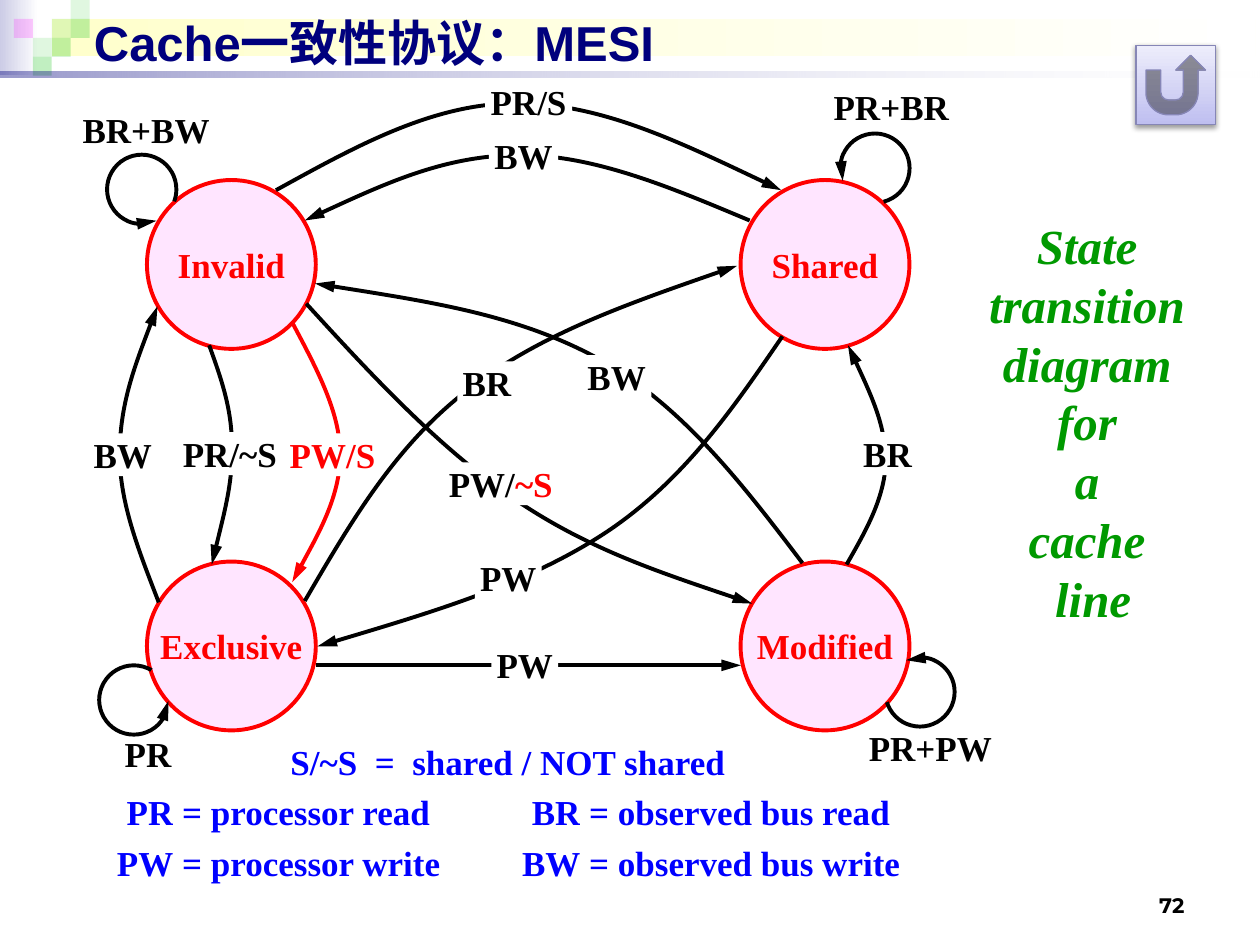
from itertools import product

from lxml.etree import SubElement
from pptx import Presentation
from pptx.dml.color import RGBColor
from pptx.enum.shapes import MSO_CONNECTOR, MSO_SHAPE
from pptx.enum.text import MSO_ANCHOR, MSO_AUTO_SIZE, PP_ALIGN
from pptx.oxml.ns import qn
from pptx.util import Pt

NAVY = RGBColor(0x00, 0x00, 0x7D)
BLUE = RGBColor(0x00, 0x00, 0xFF)
RED = RGBColor(0xFF, 0x00, 0x00)
BLACK = RGBColor(0x00, 0x00, 0x00)
WHITE = RGBColor(0xFF, 0xFF, 0xFF)
PINK = RGBColor(0xFF, 0xE5, 0xFF)
GREEN = RGBColor(0x00, 0x99, 0x00)
LIME = RGBColor(0x33, 0xCC, 0x33)
MAGENTA = RGBColor(0xFF, 0x00, 0xFF)
LAVENDER = RGBColor(0xCC, 0xCC, 0xE6)
CREAM = RGBColor(0xFF, 0xFF, 0xCC)
BUTTON_DARK = RGBColor(0xBF, 0xBF, 0xF0)
BUTTON_LIGHT = RGBColor(0xED, 0xED, 0xFB)
BUTTON_EDGE = RGBColor(0x86, 0x86, 0xB6)


def write(tf, text, size=20, font="Times New Roman", color=BLACK, italic=False,
          align=PP_ALIGN.CENTER, anchor=MSO_ANCHOR.TOP, wrap=True):
    """Fill a text frame, one paragraph per line; text after a | is red. Return the last paragraph."""
    tf.word_wrap = wrap
    tf.vertical_anchor = anchor
    for i, line in enumerate(text.split("\n")):
        p = tf.add_paragraph() if i else tf.paragraphs[0]
        p.alignment = align
        for part, part_color in zip(line.split("|"), (color, RED)):
            r = p.add_run()
            r.text = part
            r.font.size, r.font.name, r.font.bold, r.font.italic = Pt(size), font, True, italic
            r.font.color.rgb = part_color
    return p


def block(kind, x, y, w, h, *colors, alphas=(), angle=0):
    """Add a borderless shape: one color fills it solid, two make a gradient."""
    sp = s.shapes.add_shape(kind, Pt(x), Pt(y), Pt(w), Pt(h))
    sp.shadow.inherit = False
    sp.line.fill.background()
    if len(colors) == 1:
        sp.fill.solid()
        sp.fill.fore_color.rgb = colors[0]
    else:
        sp.fill.gradient()
        sp.fill.gradient_angle = angle
        for stop, color, position in zip(sp.fill.gradient_stops, colors, (0, 1)):
            stop.color.rgb = color
            stop.position = position
    for clr, alpha in zip(sp._element.spPr.iter(qn("a:srgbClr")), alphas):
        SubElement(clr, qn("a:alpha")).set("val", str(alpha * 1000))
    return sp


prs = Presentation()
prs.slide_width, prs.slide_height = Pt(720), Pt(540)
s = prs.slides.add_slide(prs.slide_layouts[1])

# Banner
block(MSO_SHAPE.RECTANGLE, 0, 0, 22, 43, LAVENDER, WHITE)
block(MSO_SHAPE.RECTANGLE, 29.5, 10.8, 688, 21.4, CREAM, WHITE)
TILE = 10.8
for col, row, color, alpha in [(2, 1, LIME, 15), (3, 0, LIME, 15), (3, 1, LIME, 30),
                               (1, 2, LIME, 15), (0, 1, MAGENTA, 20),
                               (2, 2, LIME, 30), (1, 3, LIME, 30)]:
    block(MSO_SHAPE.RECTANGLE, 8 + col * TILE, row * TILE, TILE, TILE, color, alphas=[alpha])
block(MSO_SHAPE.RECTANGLE, 0, 41, 720, 3.6, NAVY, WHITE, alphas=[40, 10])

# Title and legend heading, brought in front of the banner
title, body = s.shapes.title, s.placeholders[1]
for sp, x, y, w, h in [(title, 46.5, 3.6, 648, 41), (body, 150.2, 419.8, 280, 31.7)]:
    sp.left, sp.top, sp.width, sp.height = Pt(x), Pt(y), Pt(w), Pt(h)
    sp.text_frame.auto_size = MSO_AUTO_SIZE.NONE
    s.shapes._spTree.append(sp._element)
write(title.text_frame, "Cache一致性协议：MESI", size=28, font="Arial", color=NAVY,
      align=PP_ALIGN.LEFT, anchor=MSO_ANCHOR.MIDDLE)
p = write(body.text_frame, "S/~S  =  shared / NOT shared", color=BLUE)
p.space_before = Pt(0)
pPr = p._p.get_or_add_pPr()
pPr.set("marL", "0")
pPr.set("indent", "0")
SubElement(pPr, qn("a:buNone"))

# Slide number
tb = s.shapes.add_textbox(Pt(516), Pt(492), Pt(168), Pt(36))
write(tb.text_frame, "72", size=12, font="Montserrat", align=PP_ALIGN.RIGHT,
      anchor=MSO_ANCHOR.BOTTOM)

# States
for name, (y, x) in zip(["Invalid", "Shared", "Exclusive", "Modified"],
                        product((102.9, 320.9), (84, 423.2))):
    sp = block(MSO_SHAPE.OVAL, x, y, 96.5, 96.5, PINK)
    sp.line.color.rgb, sp.line.width = RED, Pt(2.25)
    write(sp.text_frame, name, color=RED, anchor=MSO_ANCHOR.MIDDLE, wrap=False)

# Transitions: (shape, color, arrow end)
arrows = []
for x, y, start, end in [(480.2, 76.3, 158.5, 75.45), (61.2, 88.4, 65, 20.35),
                         (56.7, 380.2, 1.48, 300.14), (505.9, 375.6, 246.42, 162.8)]:
    loop = block(MSO_SHAPE.ARC, x, y, 39.6, 39.6, WHITE)
    loop.fill.background()
    loop.adjustments[0], loop.adjustments[1] = start * 0.6, end * 0.6
    arrows.append((loop, BLACK, "a:headEnd"))

# Each curve: start point, then two Bezier segments of three points
CURVES = [
    (BLACK, [(157.7, 108.7), (202.3, 84.2), (247, 59), (295.2, 59),
             (343.4, 59), (394.6, 84.2), (446.4, 108.7)]),
    (BLACK, [(428.4, 126), (383.8, 107.3), (339.8, 88.6), (297.4, 88.6),
             (254.9, 88.6), (214.6, 107.3), (174.2, 126)]),
    (BLACK, [(90.7, 344.2), (79.9, 316.1), (68.4, 288), (68.4, 259.9),
             (68.4, 231.1), (79.2, 203), (90, 175)]),
    (BLACK, [(119.5, 197.3), (126, 215.3), (132.5, 233.3), (132.5, 254.2),
             (133.2, 275), (126.7, 298.8), (121, 322.6)]),
    (RED, [(167, 184.3), (180.7, 210.2), (194.4, 235.4), (194.4, 259.9),
           (194.4, 285.1), (167, 332.6), (167, 332.6)]),
    (BLACK, [(483.8, 322.6), (494.6, 303.8), (505.4, 285.1), (506.2, 264.2),
             (506.2, 243.4), (495.4, 220.3), (484.6, 197.3)]),
    (BLACK, [(447.1, 192.2), (419, 233.3), (391, 274.3), (347, 303.8),
             (302.4, 333.4), (241.9, 351.4), (181.4, 369.4)]),
    (BLACK, [(174.2, 343.4), (200.2, 298.8), (226.1, 254.2), (267.8, 222.5),
             (308.9, 190.8), (365, 171.4), (421.2, 151.9)]),
    (BLACK, [(458.6, 321.8), (424.8, 277.2), (391, 233.3), (344.9, 206.6),
             (298, 180), (239, 171.4), (180, 162)]),
    (BLACK, [(175, 173.5), (213.1, 215.3), (251.3, 256.3), (293.8, 285.1),
             (336.2, 313.9), (383, 329), (429.8, 344.9)]),
]
for color, points in CURVES:
    start, *rest = [(Pt(x), Pt(y)) for x, y in points]
    builder = s.shapes.build_freeform(*start)
    builder.add_line_segments(rest, close=False)
    curve = builder.convert_to_shape()
    curve.fill.background()
    curve.shadow.inherit = False
    outline = next(curve._element.iter(qn("a:path")))
    segments = outline.findall(qn("a:lnTo"))
    for i in range(0, len(segments), 3):
        bezier = SubElement(outline, qn("a:cubicBezTo"))
        for segment in segments[i:i + 3]:
            bezier.append(segment[0])
            outline.remove(segment)
    arrows.append((curve, color, "a:tailEnd"))

line = s.shapes.add_connector(MSO_CONNECTOR.STRAIGHT, Pt(180.7), Pt(380.2), Pt(423.4), Pt(380.2))
arrows.append((line, BLACK, "a:tailEnd"))
for sp, color, end in arrows:
    sp.line.color.rgb, sp.line.width = color, Pt(2.25)
    SubElement(sp.line._get_or_add_ln(), qn(end), type="triangle", w="med", len="lg")
SubElement(line._element.spPr, qn("a:effectLst"))

# Transition labels: text, left, top, width, color, covers the line beneath
for text, x, y, w, color, covers in [
        ("BW", 50.4, 247.7, 39.6, BLACK, True),
        ("PR/~S", 101.5, 247, 59.8, BLACK, True),
        ("PW/S", 162.7, 247.7, 54.7, RED, True),
        ("PR", 68.4, 418.3, 32.4, BLACK, False),
        ("PR+PW", 493.2, 415.4, 77, BLACK, False),
        ("PR+BR", 473, 49, 72.7, BLACK, False),
        ("BR+BW", 43.9, 61.9, 79.2, BLACK, False),
        ("PW", 280.8, 367.9, 38.2, BLACK, True),
        ("PW", 271.4, 318.2, 38.2, BLACK, True),
        ("PW/|~S", 253.4, 264.2, 65.5, BLACK, True),
        ("BR", 261.4, 206.6, 33.8, BLACK, True),
        ("BW", 332.6, 203, 39.6, BLACK, True),
        ("BW", 279.4, 77, 39.6, BLACK, True),
        ("PR/S", 277.2, 46, 49.7, BLACK, True),
        ("BR", 490.3, 247, 33.8, BLACK, True)]:
    tb = s.shapes.add_textbox(Pt(x), Pt(y), Pt(w), Pt(24.5))
    if covers:
        tb.fill.solid()
        tb.fill.fore_color.rgb = WHITE
    tf = tb.text_frame
    tf.margin_left = tf.margin_right = tf.margin_top = tf.margin_bottom = 0
    write(tf, text, color=color, wrap=False)

# Caption
tb = s.shapes.add_textbox(Pt(548), Pt(119.5), Pt(153.4), Pt(245))
write(tb.text_frame, "State \ntransition \ndiagram \nfor \na \ncache \nline", size=28,
      color=GREEN, italic=True)

# Legend
ROWS = [("PR", " = processor read", "BR", " = observed bus read"),
        ("PW", " = processor write", "BW", " = observed bus write")]
table = s.shapes.add_table(2, 4, Pt(59.5), Pt(453.6), Pt(465), Pt(58.4)).table
table.first_row = table.horz_banding = False
for column, width in zip(table.columns, (39.6, 187.2, 45.4, 193)):
    column.width = Pt(width)
for i, j in product(range(2), range(4)):
    cell = table.cell(i, j)
    cell.fill.background()
    cell.margin_left = cell.margin_right = cell.margin_top = cell.margin_bottom = 0
    write(cell.text_frame, ROWS[i][j], color=BLUE,
          align=PP_ALIGN.LEFT if j % 2 else PP_ALIGN.RIGHT)

# Return button
button = block(MSO_SHAPE.ACTION_BUTTON_RETURN, 649.2, 25.9, 45.4, 45.4,
               BUTTON_DARK, BUTTON_LIGHT, angle=90)
button.line.color.rgb, button.line.width = BUTTON_EDGE, Pt(0.75)
shadow = SubElement(button._element.spPr.find(qn("a:effectLst")), qn("a:outerShdw"),
                    blurRad=str(Pt(3.1)), dist=str(Pt(1.6)), dir="5400000", rotWithShape="0")
SubElement(SubElement(shadow, qn("a:srgbClr"), val="000000"), qn("a:alpha"), val="38000")

prs.save("out.pptx")
